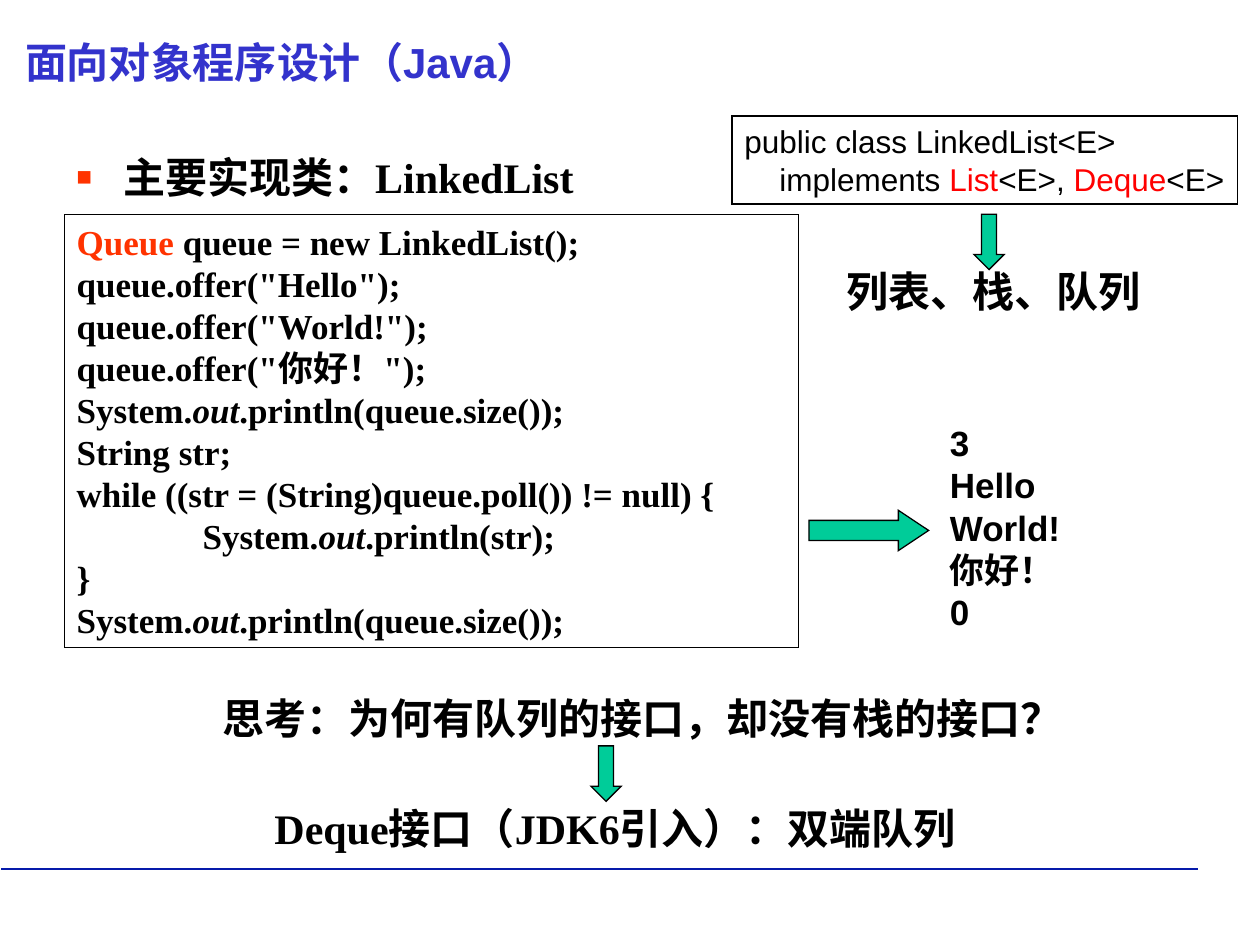
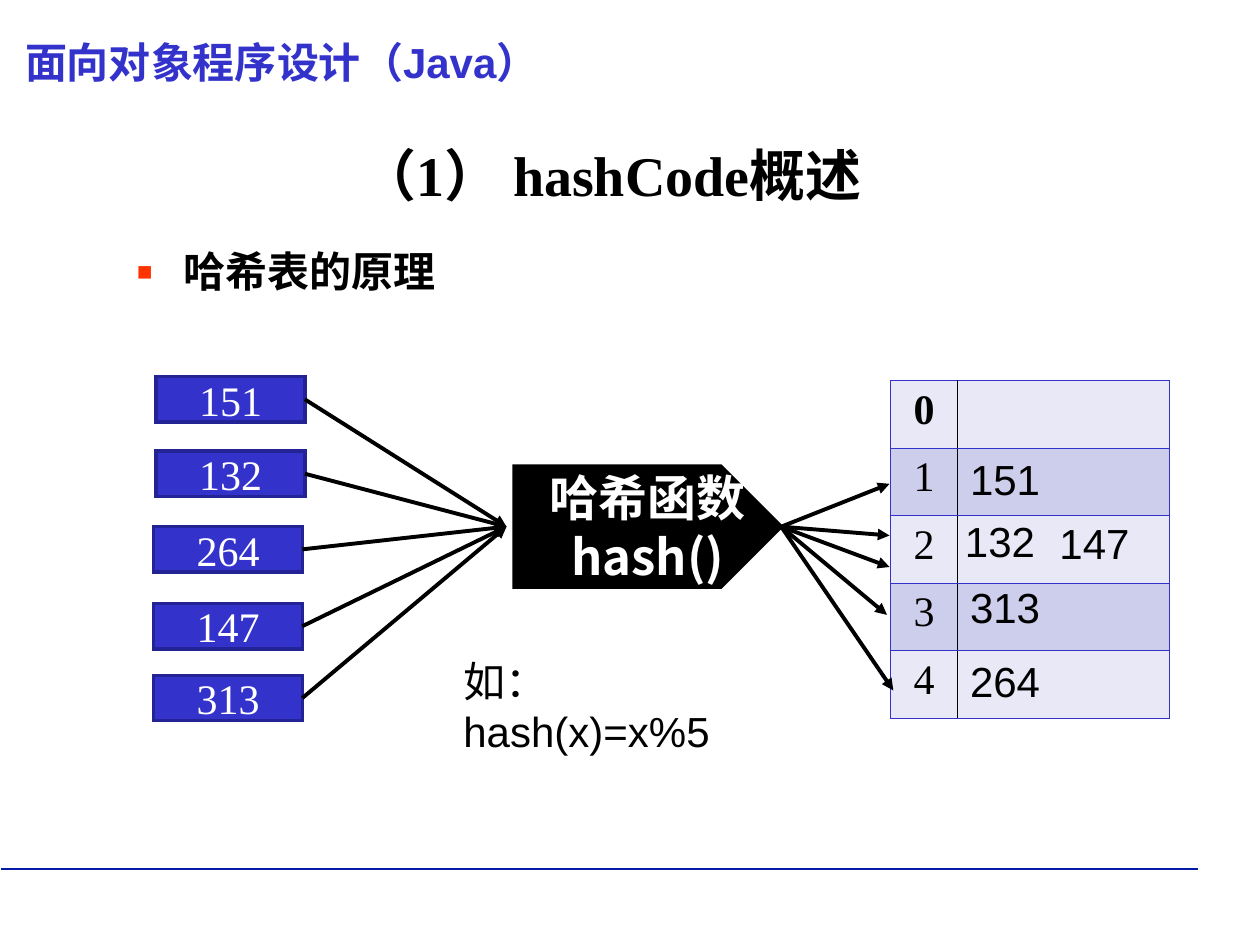
"""Builds two Java lecture slides: LinkedList as a queue, and the idea of a hash table."""
from dataclasses import dataclass, replace
from typing import NamedTuple, Optional

from lxml.etree import SubElement
from pptx import Presentation
from pptx.dml.color import RGBColor
from pptx.enum.shapes import MSO_CONNECTOR as Connector, MSO_SHAPE as Preset
from pptx.enum.text import MSO_ANCHOR as Anchor, MSO_AUTO_SIZE as AutoSize, PP_ALIGN as Align
from pptx.oxml.ns import qn
from pptx.util import Emu, Inches, Pt

COLORS = {
    "black": "000000", "white": "FFFFFF", "rule": "061AAA", "blue": "3333CC",
    "navy": "232395", "orange": "FF3300", "red": "FF0000", "green": "00CC99",
    "pale": "E8E8F6", "lilac": "CDCDEC",
}
SLIDE_W, SLIDE_H = Inches(10), Inches(7.5)
COLUMNS, ROWS = 100, 75
SERIF, SANS, CJK = "Times New Roman", "Arial", "Noto Sans CJK SC"


class Box(NamedTuple):
    x: float
    y: float
    w: float
    h: float


class Point(NamedTuple):
    x: float
    y: float


class Word(NamedTuple):
    text: str
    color: Optional[str] = None
    italic: bool = False


@dataclass(frozen=True)
class Style:
    font: str = SERIF
    size: float = 24
    bold: bool = True
    color: str = "black"
    align: Align = Align.LEFT
    anchor: Anchor = Anchor.TOP
    wrap: bool = True
    grow: bool = False
    bullet_spacing: float = 0


@dataclass(frozen=True)
class Label:
    box: Box
    lines: list
    style: Style


@dataclass(frozen=True)
class Arrow:
    preset: Preset
    box: Box
    head: float


HEADER = Style(SANS, color="blue")
TOPIC = Style(bullet_spacing=1.2)
NOTE = Style(wrap=False, grow=True)
CODE = Style(size=20, grow=True)
BUCKET_ENTRY = Style(SANS, bold=False, wrap=False, grow=True)
KEY = Style(bold=False, color="white", align=Align.CENTER, anchor=Anchor.MIDDLE)


def col(units: float) -> Emu:
    return Emu(round(units * SLIDE_W / COLUMNS))


def row(units: float) -> Emu:
    return Emu(round(units * SLIDE_H / ROWS))


def place(box: Box) -> tuple:
    return col(box.x), row(box.y), col(box.w), row(box.h)


def rgb(name: str) -> RGBColor:
    return RGBColor.from_string(COLORS[name])


def println(argument: str, indent: str = "") -> list:
    return [Word(indent + "System."), Word("out", italic=True), Word(f".println({argument});")]


def add_bullet(paragraph, spacing: float) -> None:
    paragraph.line_spacing = spacing
    props = paragraph._p.get_or_add_pPr()
    props.set("marL", str(Inches(0.38)))
    props.set("indent", str(-Inches(0.38)))
    SubElement(SubElement(props, qn("a:buClr")), qn("a:srgbClr"), val=COLORS["orange"])
    SubElement(props, qn("a:buSzPct"), val="120000")
    SubElement(props, qn("a:buFont"), typeface=SANS)
    SubElement(props, qn("a:buChar"), char="▪")


def add_tab_stop(paragraph) -> None:
    stops = SubElement(paragraph._p.get_or_add_pPr(), qn("a:tabLst"))
    SubElement(stops, qn("a:tab"), pos=str(Inches(1)), algn="l")


def write(frame, lines: list, style: Style) -> None:
    frame.word_wrap = style.wrap
    frame.auto_size = AutoSize.SHAPE_TO_FIT_TEXT if style.grow else AutoSize.NONE
    frame.vertical_anchor = style.anchor
    if not style.wrap:
        frame.margin_right = 0
    write_lines(frame, lines, style)


def write_lines(frame, lines: list, style: Style) -> None:
    for index, line in enumerate(lines):
        paragraph = frame.add_paragraph() if index else frame.paragraphs[0]
        paragraph.alignment = style.align
        words = [Word(line)] if isinstance(line, str) else line
        if style.bullet_spacing:
            add_bullet(paragraph, style.bullet_spacing)
        if words[0].text.startswith("\t"):
            add_tab_stop(paragraph)
        for word in words:
            run = paragraph.add_run()
            run.text = word.text
            run.font.size = Pt(style.size)
            run.font.bold = style.bold
            run.font.italic = word.italic
            run.font.color.rgb = rgb(word.color or style.color)
            run.font.name = style.font
            SubElement(run._r.get_or_add_rPr(), qn("a:ea"), typeface=CJK)


def add_label(slide, label: Label) -> None:
    write(slide.shapes.add_textbox(*place(label.box)).text_frame, label.lines, label.style)


def paint(shape, fill: Optional[str], line: str, width: float) -> None:
    shape.shadow.inherit = False
    if fill:
        shape.fill.solid()
        shape.fill.fore_color.rgb = rgb(fill)
    else:
        shape.fill.background()
    shape.line.color.rgb = rgb(line)
    shape.line.width = Pt(width)
    SubElement(shape.line._get_or_add_ln(), qn("a:miter"), lim="800000")


def add_framed(slide, label: Label, fill: Optional[str] = None,
               line: str = "black", width: float = 0.75) -> None:
    panel = slide.shapes.add_shape(Preset.RECTANGLE, *place(label.box))
    paint(panel, fill, line, width)
    write(panel.text_frame, label.lines, label.style)


def add_block_arrow(slide, arrow: Arrow) -> None:
    block = slide.shapes.add_shape(arrow.preset, *place(arrow.box))
    block.adjustments[0], block.adjustments[1] = 0.5, arrow.head
    paint(block, "green", "black", 0.75)


def add_line(slide, start: Point, end: Point, color: str = "black",
             width: float = 2.25, pointed: bool = True) -> None:
    link = slide.shapes.add_connector(
        Connector.STRAIGHT, col(start.x), row(start.y), col(end.x), row(end.y))
    link.line.color.rgb = rgb(color)
    link.line.width = Pt(width)
    if pointed:
        SubElement(link.line._get_or_add_ln(), qn("a:tailEnd"), type="triangle")
    SubElement(link._element.spPr, qn("a:effectLst"))


def new_slide(deck):
    slide = deck.slides.add_slide(deck.slide_layouts[6])
    add_line(slide, Point(0.1, 69), Point(95.1, 69), "rule", 1.25, pointed=False)
    add_label(slide, Label(Box(1, 2.4, 92.2, 4), ["面向对象程序设计（Java）"], HEADER))
    return slide


def build_linked_list(deck) -> None:
    slide = new_slide(deck)
    queue_code = [
        [Word("Queue ", "orange"), Word("queue = new LinkedList();")],
        'queue.offer("Hello");',
        'queue.offer("World!");',
        'queue.offer("你好！");',
        println("queue.size()"),
        "String str;",
        "while ((str = (String)queue.poll()) != null) {",
        println("str", "\t"),
        "}",
        println("queue.size()"),
    ]
    declaration = [
        "public class LinkedList<E>",
        [Word("    implements "), Word("List", "red"), Word("<E>, "),
         Word("Deque", "red"), Word("<E>")],
    ]
    for framed in (
        Label(Box(5.1, 17, 58.3, 34.4), queue_code, CODE),
        Label(Box(58.1, 9.2, 40.1, 7), declaration, replace(BUCKET_ENTRY, size=18)),
    ):
        add_framed(slide, framed)
    for label in (
        Label(Box(5, 10.7, 90, 5.8), ["主要实现类：LinkedList"], TOPIC),
        Label(Box(74.4, 33, 15, 17.7), ["3", "Hello", "World!", "你好！", "0"],
              replace(CODE, font=SANS)),
        Label(Box(16.7, 54.5, 68.6, 5), ["思考：为何有队列的接口，却没有栈的接口？"],
              replace(NOTE, font=SANS)),
        Label(Box(20.8, 63.2, 58.4, 5), ["Deque接口（JDK6引入）：双端队列"], NOTE),
        Label(Box(66.2, 20.6, 25.3, 5), ["列表、栈、队列"], NOTE),
    ):
        add_label(slide, label)
    for arrow in (
        Arrow(Preset.RIGHT_ARROW, Box(64.2, 40.5, 9.5, 3.2), 0.75),
        Arrow(Preset.DOWN_ARROW, Box(46.9, 59.2, 2.4, 4.4), 0.5),
        Arrow(Preset.DOWN_ARROW, Box(77.3, 17, 2.4, 4.4), 0.5),
    ):
        add_block_arrow(slide, arrow)


def add_borders(cell, left: str, right: str) -> None:
    props = cell._tc.get_or_add_tcPr()
    sides = {"a:lnL": left, "a:lnR": right, "a:lnT": "blue", "a:lnB": "blue"}
    for index, (side, color) in enumerate(sides.items()):
        border = SubElement(props, qn(side), w=str(Pt(0.45)))
        SubElement(SubElement(border, qn("a:solidFill")), qn("a:srgbClr"), val=COLORS[color])
        props.remove(border)
        props.insert(index, border)


def add_buckets(slide, box: Box, count: int) -> None:
    buckets = slide.shapes.add_table(count, 2, *place(box)).table
    buckets.first_row = buckets.horz_banding = False
    buckets.columns[0].width, buckets.columns[1].width = col(5.3), col(box.w - 5.3)
    for number in range(count):
        buckets.rows[number].height = row(box.h / count)
        for side, (left, right) in enumerate((("blue", "black"), ("black", "blue"))):
            cell = buckets.cell(number, side)
            cell.fill.solid()
            cell.fill.fore_color.rgb = rgb("lilac" if number % 2 else "pale")
            add_borders(cell, left, right)
        write_lines(buckets.cell(number, 0).text_frame, [str(number)],
                    Style(bold=number == 0, align=Align.CENTER))


def add_hash_function(slide, left: float, tip: Point) -> None:
    top, bottom, shoulder = tip.y - 4.8, tip.y + 4.8, tip.x - 4.8
    outline = slide.shapes.build_freeform(col(left), row(top))
    outline.add_line_segments([
        (col(x), row(y)) for x, y in
        ((shoulder, top), tip, (shoulder, bottom), (left, bottom))], close=True)
    pentagon = outline.convert_to_shape()
    paint(pentagon, "black", "black", 2)
    write(pentagon.text_frame, ["哈希函数hash()"], replace(KEY, font=CJK, size=28, bold=True))


def build_hash_table(deck) -> None:
    slide = new_slide(deck)
    inlet, outlet = Point(40.2, 41.8), Point(62, 41.8)
    for label in (
        Label(Box(3.5, 10.7, 90, 7.7), ["（1） hashCode概述"], Style(size=32, align=Align.CENTER)),
        Label(Box(9.8, 17.8, 84.4, 36.2), ["哈希表的原理"], replace(TOPIC, bullet_spacing=1.3)),
        Label(Box(35.8, 51.5, 27.3, 9), ["如：hash(x)=x%5"], replace(BUCKET_ENTRY, wrap=True)),
    ):
        add_label(slide, label)
    add_buckets(slide, Box(70.7, 30.2, 22.1, 26.8), 5)
    add_hash_function(slide, 40.8, outlet)

    keys = {"151": Point(12.4, 29.9), "132": Point(12.4, 35.8), "264": Point(12.2, 41.8),
            "147": Point(12.2, 47.9), "313": Point(12.2, 53.6)}
    for key, corner in keys.items():
        box = Box(*corner, 11.8, 3.6)
        add_framed(slide, Label(box, [key], KEY), "blue", "navy", 2)
        add_line(slide, Point(box.x + box.w, box.y + box.h / 2), inlet)

    entries = {"151": Point(76, 35.5), "132": Point(75.6, 40.4), "147": Point(83.1, 40.6),
               "313": Point(76, 45.7), "264": Point(76, 51.5)}
    for key, corner in entries.items():
        add_label(slide, Label(Box(*corner, 7.5, 5), [key], BUCKET_ENTRY))

    for target in (Point(70.6, 45), Point(70.6, 38.4), Point(70.6, 42.5),
                   Point(70.4, 48.8), Point(70.9, 54.8)):
        add_line(slide, outlet, target)


def main() -> None:
    deck = Presentation()
    deck.slide_width, deck.slide_height = SLIDE_W, SLIDE_H
    build_linked_list(deck)
    build_hash_table(deck)
    deck.save("out.pptx")


if __name__ == "__main__":
    main()
